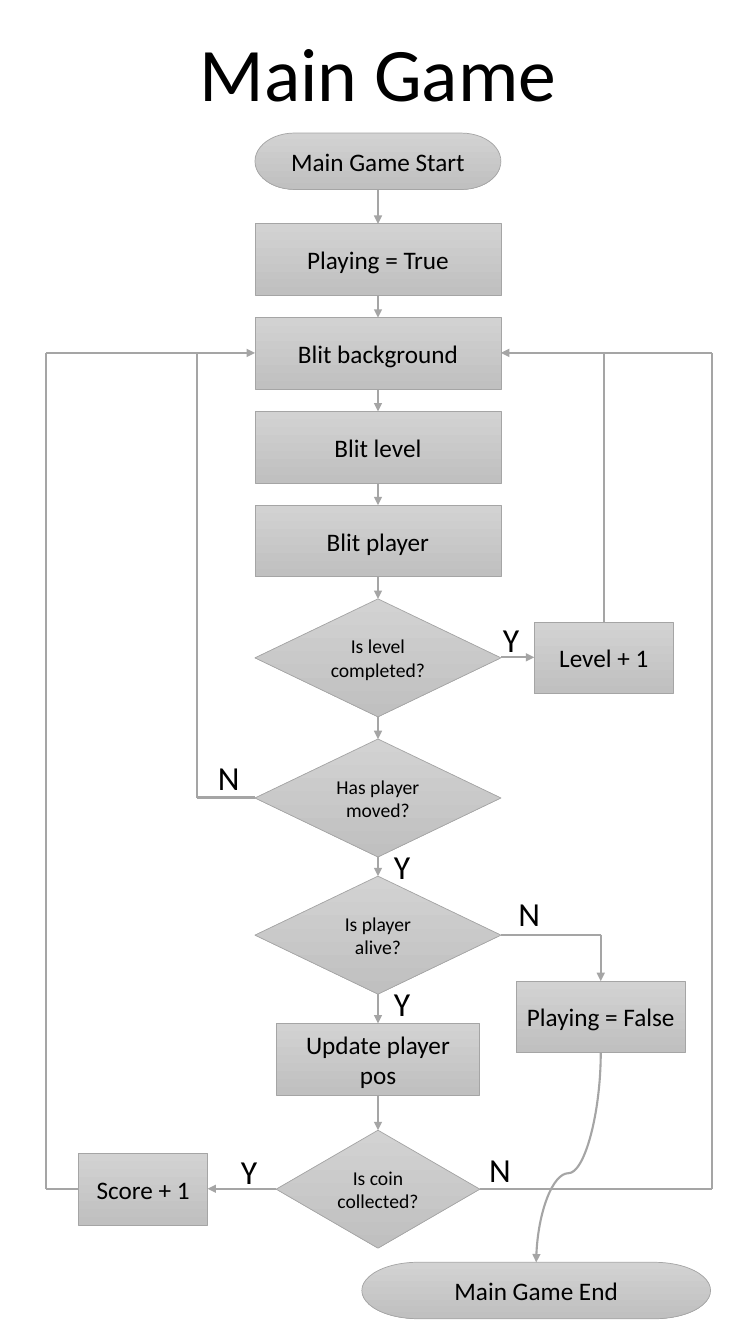
"""Build the main game flowchart slide."""
from dataclasses import dataclass

from lxml import etree
from pptx import Presentation
from pptx.dml.color import RGBColor
from pptx.enum.shapes import MSO_CONNECTOR, MSO_SHAPE
from pptx.enum.text import MSO_ANCHOR, MSO_AUTO_SIZE, PP_ALIGN
from pptx.oxml.ns import qn
from pptx.util import Pt

TERMINATOR = MSO_SHAPE.FLOWCHART_TERMINATOR
PROCESS = MSO_SHAPE.FLOWCHART_PROCESS
DECISION = MSO_SHAPE.FLOWCHART_DECISION
STRAIGHT, CURVE = MSO_CONNECTOR.STRAIGHT, MSO_CONNECTOR.CURVE
CENTER, MIDDLE = PP_ALIGN.CENTER, MSO_ANCHOR.MIDDLE
NO_FIT = MSO_AUTO_SIZE.NONE

EMU_PER_PX = 9144
SLIDE_SIZE = (750, 1333)
TITLE_ONLY = 5
LEFT_RAIL, INNER_RAIL, RIGHT_RAIL = 46, 195, 706
HEIGHTS = {TERMINATOR: 56, PROCESS: 71, DECISION: 117}


@dataclass(frozen=True)
class Theme:
    font: str = "Calibri"
    text: RGBColor = RGBColor(0, 0, 0)
    line: RGBColor = RGBColor(0xA5, 0xA5, 0xA5)
    light: RGBColor = RGBColor(0xD2, 0xD2, 0xD2)
    dark: RGBColor = RGBColor(0xC0, 0xC0, 0xC0)
    title_size: int = 54
    label_size: int = 24
    step_size: int = 18
    decision_size: int = 14
    border: float = 0.5
    flow: float = 1.5


THEME = Theme()

TITLE = ("Main Game", (186, 20, 378, 101))
STEPS = {
    "start": (TERMINATOR, 375, 132, 244, "Main Game Start"),
    "playing": (PROCESS, 375, 222, 244, "Playing = True"),
    "background": (PROCESS, 375, 315, 244, "Blit background"),
    "level": (PROCESS, 375, 408, 244, "Blit level"),
    "player": (PROCESS, 375, 501, 244, "Blit player"),
    "completed": (DECISION, 375, 594, 244, "Is level completed?"),
    "moved": (DECISION, 375, 733, 244, "Has player moved?"),
    "alive": (DECISION, 375, 869, 244, "Is player alive?"),
    "update": (PROCESS, 375, 1015, 202, "Update player pos"),
    "coin": (DECISION, 375, 1121, 202, "Is coin collected?"),
    "next level": (PROCESS, 599, 617, 138, "Level + 1"),
    "game over": (PROCESS, 596, 973, 168, "Playing = False"),
    "score": (PROCESS, 142, 1144, 128, "Score + 1"),
    "end": (TERMINATOR, 532, 1252, 346, "Main Game End"),
}
MAIN_FLOW = ["start", "playing", "background", "level", "player",
             "completed", "moved", "alive", "update", "coin"]
ANSWERS = [
    ("Y", 507, 609), ("N", 227, 746), ("Y", 399, 834), ("N", 525, 881),
    ("Y", 399, 970), ("Y", 247, 1137), ("N", 496, 1135),
]


def px(*lengths):
    return [round(length * EMU_PER_PX) for length in lengths]


def side(name, edge):
    kind, center, top, width, _ = STEPS[name]
    height = HEIGHTS[kind]
    return {
        "top": (center, top),
        "bottom": (center, top + height),
        "left": (center - width // 2, top + height // 2),
        "right": (center + width // 2, top + height // 2),
    }[edge]


def flow_routes():
    """Return each route as its corner points and whether it ends in an arrow."""
    routes = [([side(a, "bottom"), side(b, "top")], True)
              for a, b in zip(MAIN_FLOW, MAIN_FLOW[1:])]
    back_left, back_right = side("background", "left"), side("background", "right")
    loop_y = back_left[1]
    moved, alive = side("moved", "left"), side("alive", "right")
    score, coin = side("score", "left"), side("coin", "right")
    next_level, game_over = side("next level", "top"), side("game over", "top")
    return routes + [
        ([side("completed", "right"), side("next level", "left")], True),
        ([next_level, (next_level[0], loop_y)], False),
        ([moved, (INNER_RAIL, moved[1]), (INNER_RAIL, loop_y)], False),
        ([alive, (game_over[0], alive[1]), game_over], True),
        ([side("coin", "left"), side("score", "right")], True),
        ([score, (LEFT_RAIL, score[1]), (LEFT_RAIL, loop_y), back_left], True),
        ([coin, (RIGHT_RAIL, coin[1]), (RIGHT_RAIL, loop_y), back_right], True),
    ]


def write(shape, text, size, wrap=True):
    frame = shape.text_frame
    frame.text = text
    frame.word_wrap = wrap
    frame.auto_size = NO_FIT
    paragraph = frame.paragraphs[0]
    paragraph.alignment = CENTER
    paragraph.font.name = THEME.font
    paragraph.font.size = Pt(size)
    paragraph.font.color.rgb = THEME.text


def add_step(slide, name):
    kind, _, top, width, text = STEPS[name]
    left = side(name, "left")[0]
    shape = slide.shapes.add_shape(kind, *px(left, top, width, HEIGHTS[kind]))
    shape.shadow.inherit = False
    shape.fill.gradient()
    shape.fill.gradient_angle = 270
    for stop, color in zip(shape.fill.gradient_stops, (THEME.light, THEME.dark)):
        stop.color.rgb = color
    shape.line.color.rgb = THEME.line
    shape.line.width = Pt(THEME.border)
    write(shape, text, THEME.decision_size if kind == DECISION else THEME.step_size)
    shape.text_frame.vertical_anchor = MIDDLE


def add_line(slide, begin, end, arrow, kind=STRAIGHT):
    connector = slide.shapes.add_connector(kind, *px(*begin, *end))
    connector.line.color.rgb = THEME.line
    connector.line.width = Pt(THEME.flow)
    properties = connector._element.spPr
    if arrow:
        etree.SubElement(properties.find(qn("a:ln")), qn("a:tailEnd"), type="triangle")
    etree.SubElement(properties, qn("a:effectLst"))
    return connector


def add_end_curve(slide):
    (x1, y1), (x2, y2) = side("game over", "bottom"), side("end", "top")
    middle_x, middle_y = (x1 + x2) / 2, (y1 + y2) / 2
    half_length, half_width = (y2 - y1) / 2, (x1 - x2) / 2
    curve = add_line(slide, (middle_x - half_length, middle_y - half_width),
                     (middle_x + half_length, middle_y + half_width), True, CURVE)
    properties = curve._element.spPr
    properties.find(qn("a:xfrm")).set("rot", "5400000")
    geometry = properties.find(qn("a:prstGeom"))
    adjustments = geometry.find(qn("a:avLst"))
    if adjustments is None:
        adjustments = etree.SubElement(geometry, qn("a:avLst"))
    etree.SubElement(adjustments, qn("a:gd"), name="adj1", fmla="val 57500")


def main():
    presentation = Presentation()
    presentation.slide_width, presentation.slide_height = px(*SLIDE_SIZE)
    slide = presentation.slides.add_slide(presentation.slide_layouts[TITLE_ONLY])
    title = slide.shapes.title
    text, box = TITLE
    title.left, title.top, title.width, title.height = px(*box)
    write(title, text, THEME.title_size, wrap=False)
    title.text_frame.vertical_anchor = MIDDLE

    for name in STEPS:
        add_step(slide, name)
    for points, arrow in flow_routes():
        for begin, end in zip(points, points[1:]):
            add_line(slide, begin, end, arrow and end == points[-1])
    add_end_curve(slide)
    for answer, center, top in ANSWERS:
        label = slide.shapes.add_textbox(*px(center - 28, top, 56, 50))
        write(label, answer, THEME.label_size)

    presentation.save("out.pptx")


if __name__ == "__main__":
    main()
